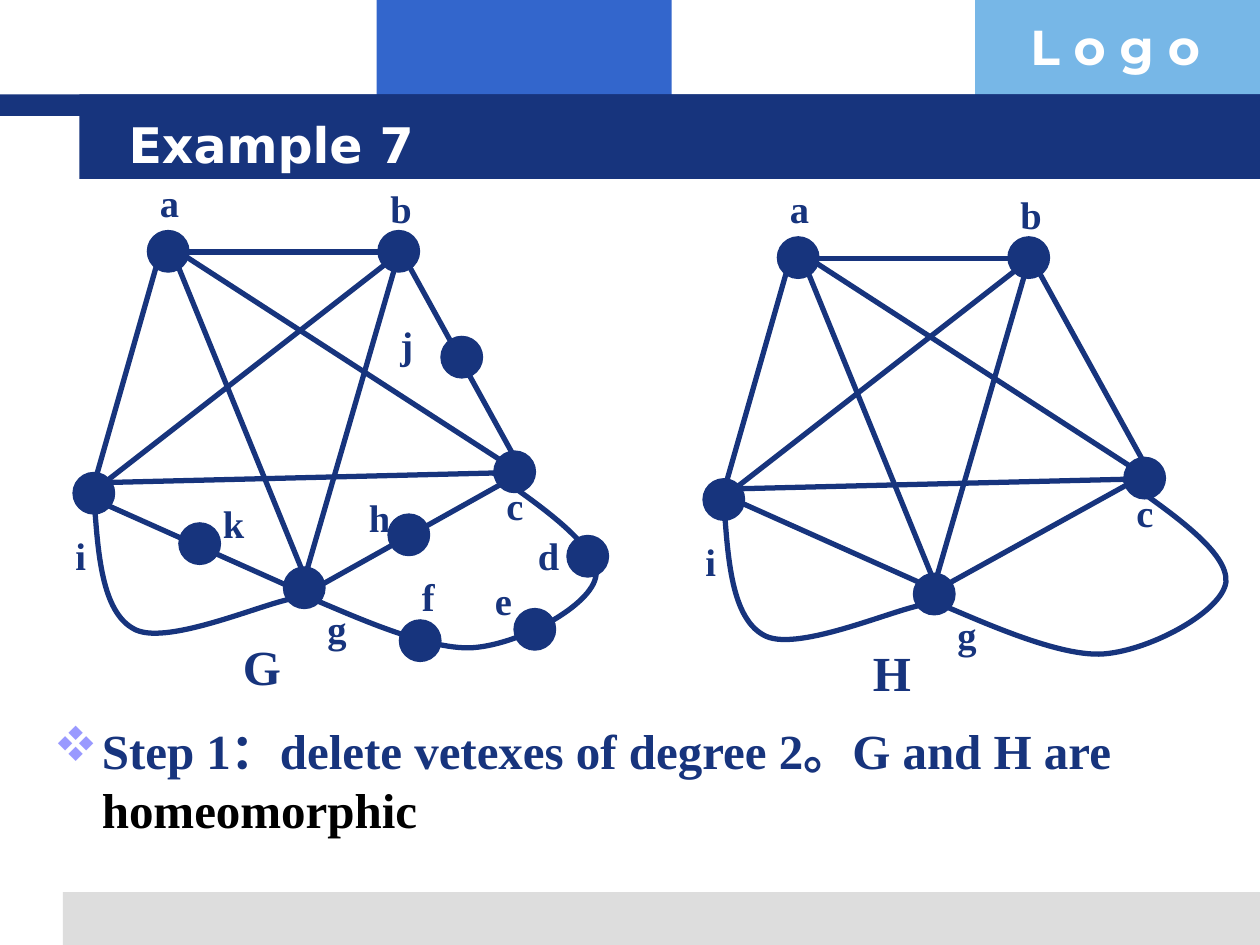
from dataclasses import dataclass

from lxml import etree
from pptx import Presentation
from pptx.dml.color import RGBColor
from pptx.enum.shapes import MSO_CONNECTOR, MSO_SHAPE
from pptx.enum.text import MSO_ANCHOR, MSO_AUTO_SIZE, PP_ALIGN
from pptx.oxml.ns import qn
from pptx.util import Inches, Pt

RECTANGLE = MSO_SHAPE.RECTANGLE
OVAL = MSO_SHAPE.OVAL
STRAIGHT = MSO_CONNECTOR.STRAIGHT
TOP = MSO_ANCHOR.TOP
MIDDLE = MSO_ANCHOR.MIDDLE
LEFT = PP_ALIGN.LEFT
FIXED = MSO_AUTO_SIZE.NONE
GROW = MSO_AUTO_SIZE.SHAPE_TO_FIT_TEXT

NAVY = "17347D"
WHITE = "FFFFFF"
SERIF = "Times New Roman"
NODE_SIZE = 0.33

Point = tuple[float, float]
Box = tuple[float, float, float, float]


@dataclass(frozen=True)
class Band:
    box: Box
    color: str


@dataclass(frozen=True)
class Vertex:
    name: str
    corner: Point
    label: Point


@dataclass(frozen=True)
class Edge:
    start: Point
    end: Point


@dataclass(frozen=True)
class Graph:
    name: str
    offset: Point
    vertices: list[Vertex]
    edges: list[Edge]


BANDS = [
    Band((2.99, 0, 2.34, 0.92), "3366CC"),
    Band((7.74, 0, 2.26, 0.92), "77B7E7"),
    Band((0.5, 7.08, 9.5, 0.42), "DDDDDD"),
    Band((0, 0.75, 10, 0.17), NAVY),
    Band((0.63, 0.75, 9.37, 0.67), NAVY),
]

CORE_VERTICES = [
    Vertex("a", (1.17, 1.83), (1.17, 1.37)),
    Vertex("b", (3, 1.83), (3, 1.42)),
    Vertex("c", (3.92, 3.58), (3.92, 3.78)),
    Vertex("g", (2.25, 4.5), (2.5, 4.75)),
    Vertex("i", (0.58, 3.75), (0.5, 4.17)),
]
DEGREE_TWO_VERTICES = [
    Vertex("d", (4.5, 4.25), (4.17, 4.17)),
    Vertex("e", (4.08, 4.83), (3.83, 4.53)),
    Vertex("f", (3.17, 4.92), (3.25, 4.5)),
    Vertex("h", (3.08, 4.08), (2.83, 3.87)),
    Vertex("j", (3.5, 2.67), (3.08, 2.5)),
    Vertex("k", (1.42, 4.15), (1.67, 3.92)),
]
CORE_EDGES = [
    Edge((0.75, 3.83), (1.25, 2.08)),
    Edge((2.42, 4.58), (1.4, 2.08)),
    Edge((3.08, 2.08), (0.83, 3.83)),
    Edge((4.15, 3.75), (3.23, 2.08)),
    Edge((2.42, 4.58), (3.17, 2)),
    Edge((4.08, 3.75), (0.83, 3.83)),
    Edge((4, 3.67), (1.42, 2)),
    Edge((3.08, 2), (1.42, 2)),
]
CURVES = [
    [(3.91, 3.75), (4.33, 4.04), (4.75, 4.34), (4.73, 4.57), (4.7, 4.8),
     (4.14, 5.11), (3.76, 5.14), (3.37, 5.17), (2.64, 4.81), (2.42, 4.73)],
    [(0.75, 4), (0.78, 4.44), (0.82, 4.88), (1.08, 5),
     (1.35, 5.12), (2.11, 4.78), (2.33, 4.75)],
]
GRAPHS = [
    Graph("G", (0, 0), CORE_VERTICES + DEGREE_TWO_VERTICES,
          CORE_EDGES + [Edge((0.83, 4), (2.33, 4.67)), Edge((2.5, 4.67), (4, 3.83))]),
    Graph("H", (5, 0.05), CORE_VERTICES,
          CORE_EDGES + [Edge((0.88, 3.94), (2.38, 4.61)), Edge((2.53, 4.58), (4.03, 3.75))]),
]


def rgb(color: str) -> RGBColor:
    return RGBColor.from_string(color)


def apply(target, values: dict) -> None:
    for name, value in values.items():
        setattr(target, name, value)


def shift(point: Point, offset: Point) -> Point:
    return point[0] + offset[0], point[1] + offset[1]


def add_run(paragraph, text: str, size: float, face: str, color: str) -> None:
    run = paragraph.add_run()
    run.text = text
    apply(run.font, {"size": Pt(size), "name": face, "bold": True})
    run.font.color.rgb = rgb(color)


def add_text(slide, box: Box, text: str, size: float, face: str = SERIF,
             color: str = NAVY, fit=GROW):
    frame = slide.shapes.add_textbox(*map(Inches, box)).text_frame
    apply(frame, {"word_wrap": True, "auto_size": fit, "vertical_anchor": TOP})
    paragraph = frame.paragraphs[0]
    add_run(paragraph, text, size, face, color)
    return paragraph


def add_filled(slide, kind, box: Box, color: str):
    shape = slide.shapes.add_shape(kind, *map(Inches, box))
    shape.shadow.inherit = False
    shape.fill.solid()
    shape.fill.fore_color.rgb = rgb(color)
    shape.line.fill.background()
    return shape


def style_line(line, width: float) -> None:
    line.color.rgb = rgb(NAVY)
    line.width = Pt(width)


def add_edge(slide, edge: Edge, offset: Point) -> None:
    ends = shift(edge.start, offset) + shift(edge.end, offset)
    connector = slide.shapes.add_connector(STRAIGHT, *map(Inches, ends))
    style_line(connector.line, 3)
    etree.SubElement(connector.element.spPr, qn("a:effectLst"))


def bend_segments(curve) -> None:
    segments = list(curve.element.iter(qn("a:lnTo")))
    for first in range(0, len(segments), 3):
        bend = etree.SubElement(segments[first].getparent(), qn("a:cubicBezTo"))
        for segment in segments[first:first + 3]:
            bend.append(segment[0])
            segment.getparent().remove(segment)


def add_curve(slide, controls: list[Point], offset: Point) -> None:
    points = [tuple(map(Inches, shift(control, offset))) for control in controls]
    builder = slide.shapes.build_freeform(*points[0])
    builder.add_line_segments(points[1:], close=False)
    curve = builder.convert_to_shape()
    bend_segments(curve)
    curve.shadow.inherit = False
    curve.fill.background()
    style_line(curve.line, 3)


def add_graph(slide, graph: Graph) -> None:
    for edge in graph.edges:
        add_edge(slide, edge, graph.offset)
    for controls in CURVES:
        add_curve(slide, controls, graph.offset)
    for vertex in graph.vertices:
        corner = shift(vertex.corner, graph.offset)
        node = add_filled(slide, OVAL, (*corner, NODE_SIZE, NODE_SIZE), NAVY)
        style_line(node.line, 0.75)
        add_text(slide, (*shift(vertex.label, graph.offset), 0.42, 0.47), vertex.name, 22)
    add_text(slide, (*shift((1.83, 5), graph.offset), 0.58, 0.57), graph.name, 28)


def add_title(slide, text: str) -> None:
    title = slide.shapes.title
    title.element.getparent().append(title.element)
    apply(title, {"left": Inches(0.92), "top": Inches(0.83),
                  "width": Inches(8.53), "height": Inches(0.62)})
    apply(title.text_frame, {"vertical_anchor": MIDDLE, "auto_size": FIXED, "word_wrap": True})
    paragraph = title.text_frame.paragraphs[0]
    paragraph.alignment = LEFT
    add_run(paragraph, text, 28, "DejaVu Sans", WHITE)


def add_step(slide) -> None:
    step = add_text(slide, (0.33, 5.67, 9.42, 1.17),
                    "Step 1：delete vetexes of degree 2。G and H are ", 28, fit=FIXED)
    add_run(step, "homeomorphic", 28, SERIF, "000000")
    properties = step._p.get_or_add_pPr()
    properties.set("marL", str(Inches(0.38)))
    properties.set("indent", str(Inches(-0.38)))
    bullet_color = etree.SubElement(properties, qn("a:buClr"))
    etree.SubElement(bullet_color, qn("a:srgbClr"), val="9999FF")
    etree.SubElement(properties, qn("a:buFont"), typeface="Wingdings", charset="2")
    etree.SubElement(properties, qn("a:buChar"), char="v")


def main() -> None:
    deck = Presentation()
    apply(deck, {"slide_width": Inches(10), "slide_height": Inches(7.5)})
    slide = deck.slides.add_slide(deck.slide_layouts[5])
    for band in BANDS:
        add_filled(slide, RECTANGLE, band.box, band.color)
    add_text(slide, (8.08, 0.08, 1.93, 0.57), "L o g o", 28, "Montserrat", WHITE)
    add_title(slide, "Example 7")
    for graph in GRAPHS:
        add_graph(slide, graph)
    add_step(slide)
    deck.save("out.pptx")


if __name__ == "__main__":
    main()
